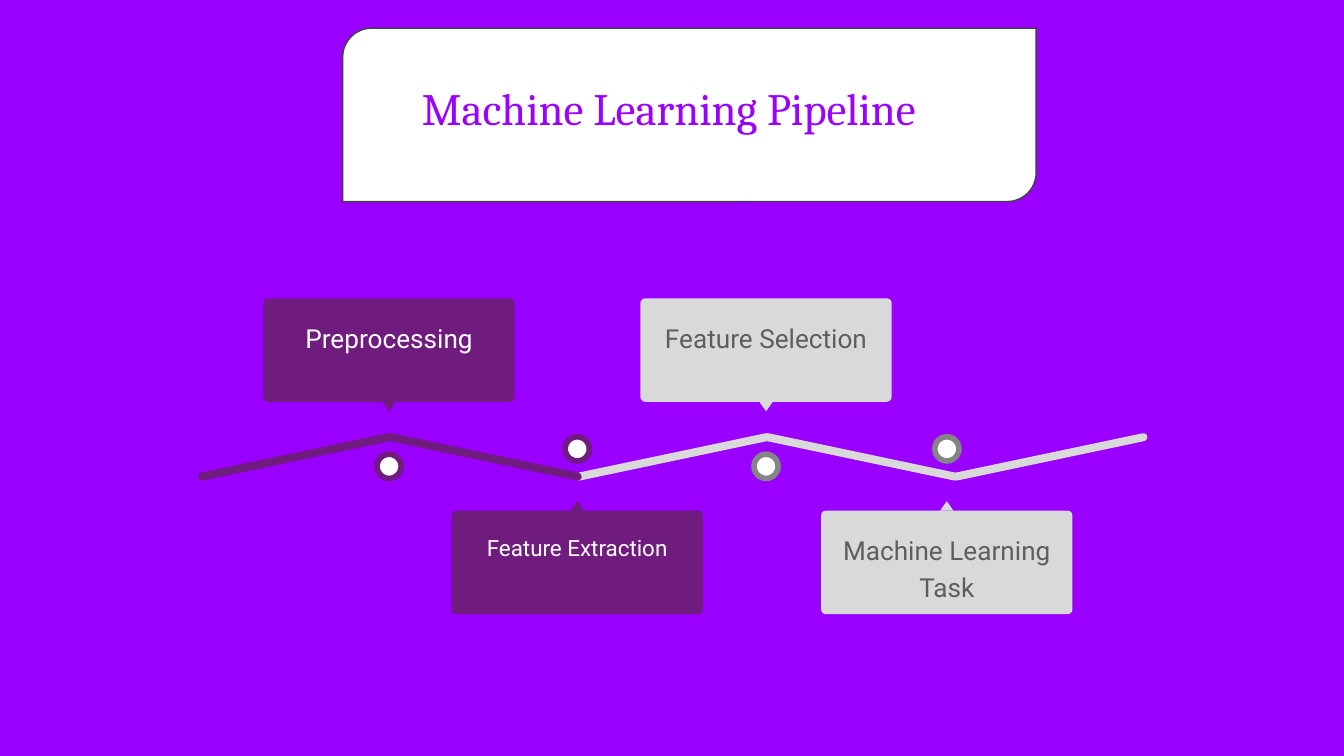
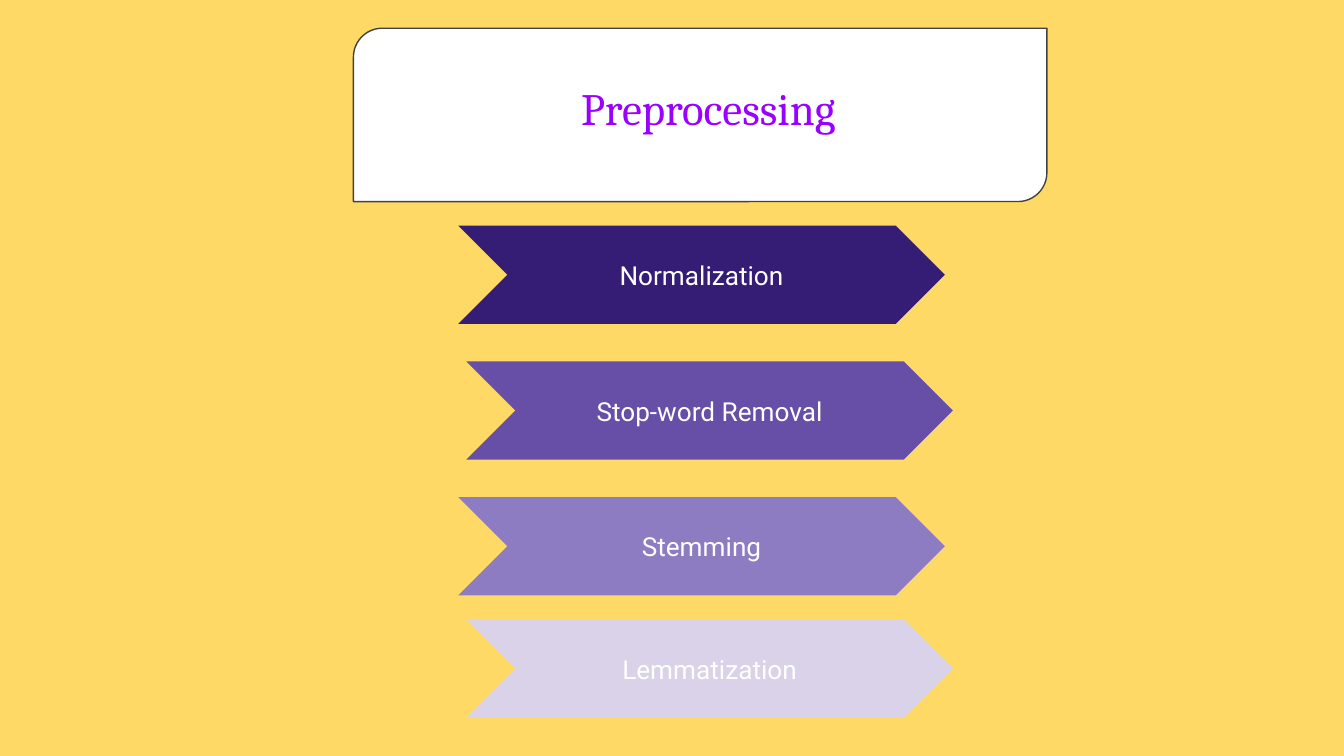
from dataclasses import dataclass

import pptx
import pptx.dml.color
import pptx.enum.shapes
import pptx.enum.text
import pptx.shapes.autoshape
import pptx.shapes.shapetree
import pptx.slide
import pptx.util

Shape = pptx.shapes.autoshape.Shape
Shapes = pptx.shapes.shapetree.SlideShapes | pptx.shapes.shapetree.GroupShapes
Preset = pptx.enum.shapes.MSO_SHAPE
Align = pptx.enum.text.PP_ALIGN
Anchor = pptx.enum.text.MSO_ANCHOR

# Square grid: 100 columns by 56.25 rows, ten cells to the inch
COLUMNS, ROWS = 100, 56.25
CELL = pptx.util.Inches(0.1)

# Shared colours and fonts
VIOLET, AMBER, WHITE = "9900FF", "FFD966", "FFFFFF"
PLUM, SILVER, GREY, CHARCOAL, OUTLINE = "701C7F", "D9D9D9", "858585", "5E5E5E", "424242"
TITLE_FONT, BODY_FONT = "Cambria", "Roboto"


@dataclass(frozen=True)
class Box:
    left: float
    top: float
    width: float
    height: float

    def inset(self, across: float, down: float) -> "Box":
        return Box(self.left + across, self.top + down,
                   self.width - 2 * across, self.height - 2 * down)

    def lengths(self) -> list[int]:
        return [round(cells * CELL) for cells in (self.left, self.top, self.width, self.height)]


@dataclass(frozen=True)
class TextStyle:
    font: str
    size: float
    colour: str
    align: Align = Align.CENTER


@dataclass(frozen=True)
class Theme:
    """Colours of one half of the pipeline."""
    fill: str
    ring: str
    text: str


@dataclass(frozen=True)
class Stage:
    label: str
    centre: float
    above: bool
    theme: Theme
    size: float = 14


@dataclass(frozen=True)
class Arrow:
    label: str
    left: float
    top: float
    fill: str


DONE = Theme(PLUM, PLUM, WHITE)
AHEAD = Theme(SILVER, GREY, CHARCOAL)

STAGES = [
    Stage("Preprocessing", 28.95, True, DONE),
    Stage("Feature Extraction", 42.95, False, DONE, 12),
    Stage("Feature Selection", 57, True, AHEAD),
    Stage("Machine Learning Task", 70.45, False, AHEAD),
]
ZIGZAG = [PLUM, PLUM, SILVER, SILVER, SILVER]
ZIGZAG_LEFT, ZIGZAG_STEP, ZIGZAG_TILT = 14.6, 14.03, 11.9

ARROWS = [
    Arrow("Normalization", 34.1, 16.8, "351C75"),
    Arrow("Stop-word Removal", 34.7, 26.9, "674EA7"),
    Arrow("Stemming", 34.1, 37, "8E7CC3"),
    Arrow("Lemmatization", 34.7, 46.1, "D9D2E9"),
]


# Basic drawing
def rgb(hex_colour: str) -> pptx.dml.color.RGBColor:
    return pptx.dml.color.RGBColor.from_string(hex_colour)


def draw(shapes: Shapes, preset: Preset, box: Box, fill: str, line: str = "",
         line_width: float = 0.75, rotation: float = 0) -> Shape:
    shape = shapes.add_shape(preset, *box.lengths())
    shape.shadow.inherit = False
    shape.rotation = rotation
    shape.fill.solid()
    shape.fill.fore_color.rgb = rgb(fill)
    if line:
        shape.line.color.rgb = rgb(line)
        shape.line.width = pptx.util.Pt(line_width)
    else:
        shape.line.fill.background()
    return shape


def write(holder: Shape, text: str, style: TextStyle, anchor: Anchor = Anchor.TOP) -> None:
    frame = holder.text_frame
    frame.text = text
    frame.word_wrap = True
    frame.vertical_anchor = anchor
    frame.margin_left = frame.margin_right = CELL
    frame.margin_top = frame.margin_bottom = CELL
    paragraph = frame.paragraphs[0]
    paragraph.alignment = style.align
    font = paragraph.runs[0].font
    font.name = style.font
    font.size = pptx.util.Pt(style.size)
    font.color.rgb = rgb(style.colour)


# Parts of the slides
def new_slide(deck: pptx.presentation.Presentation, background: str) -> pptx.slide.Slide:
    slide = deck.slides.add_slide(deck.slide_layouts[6])
    slide.background.fill.solid()
    slide.background.fill.fore_color.rgb = rgb(background)
    return slide


def draw_title(shapes: Shapes, text: str, left: float, align: Align) -> None:
    draw(shapes, Preset.ROUND_2_DIAG_RECTANGLE, Box(left, 2.1, 51.6, 12.9), WHITE, OUTLINE)
    title = shapes.add_textbox(*Box(left + 4.9, 5, 43, 7.8).lengths())
    write(title, text, TextStyle(TITLE_FONT, 24, VIOLET, align))


def draw_zigzag(shapes: Shapes) -> None:
    # Right to left, so that each earlier stretch covers the joint
    for index, colour in reversed(list(enumerate(ZIGZAG))):
        tilt = ZIGZAG_TILT if index % 2 else -ZIGZAG_TILT
        stretch = Box(ZIGZAG_LEFT + index * ZIGZAG_STEP, 33.7, 14.8, 0.6)
        draw(shapes, Preset.ROUNDED_RECTANGLE, stretch, colour,
             rotation=tilt).adjustments[0] = 0.5


def draw_stage(shapes: Shapes, stage: Stage) -> None:
    theme = stage.theme
    card_top, pointer_top, dot_top, turn = (
        (22.2, 29.9, 33.8, 180) if stage.above else (38, 37.3, 32.5, 0))
    group = shapes.add_group_shape().shapes
    draw(group, Preset.OVAL, Box(stage.centre - 0.9, dot_top, 1.8, 1.8), WHITE, theme.ring, 3)
    card = Box(stage.centre - 9.35, card_top, 18.7, 7.7)
    draw(group, Preset.ROUNDED_RECTANGLE, card, theme.fill).adjustments[0] = 0.045
    draw(group, Preset.ISOSCELES_TRIANGLE, Box(stage.centre - 0.5, pointer_top, 1, 0.7),
         theme.fill, rotation=turn)
    label = group.add_textbox(*card.inset(0.45, 0.45).lengths())
    write(label, stage.label, TextStyle(BODY_FONT, stage.size, theme.text))
    paragraph = label.text_frame.paragraphs[0]
    paragraph.line_spacing = 1.15
    paragraph.space_after = pptx.util.Pt(16)


def draw_arrow(shapes: Shapes, arrow: Arrow) -> None:
    chevron = draw(shapes, Preset.CHEVRON, Box(arrow.left, arrow.top, 36.2, 7.3), arrow.fill)
    write(chevron, arrow.label, TextStyle(BODY_FONT, 14, WHITE), Anchor.MIDDLE)


# The two slides
def build_pipeline(deck: pptx.presentation.Presentation) -> None:
    shapes = new_slide(deck, VIOLET).shapes
    draw_zigzag(shapes)
    for stage in STAGES:
        draw_stage(shapes, stage)
    draw_title(shapes, "Machine Learning Pipeline", 25.5, Align.LEFT)


def build_preprocessing(deck: pptx.presentation.Presentation) -> None:
    shapes = new_slide(deck, AMBER).shapes
    draw_title(shapes, "Preprocessing", 26.3, Align.CENTER)
    for arrow in ARROWS:
        draw_arrow(shapes, arrow)


def main() -> None:
    deck = pptx.Presentation()
    deck.slide_width = round(COLUMNS * CELL)
    deck.slide_height = round(ROWS * CELL)
    build_pipeline(deck)
    build_preprocessing(deck)
    deck.save("out.pptx")


if __name__ == "__main__":
    main()
